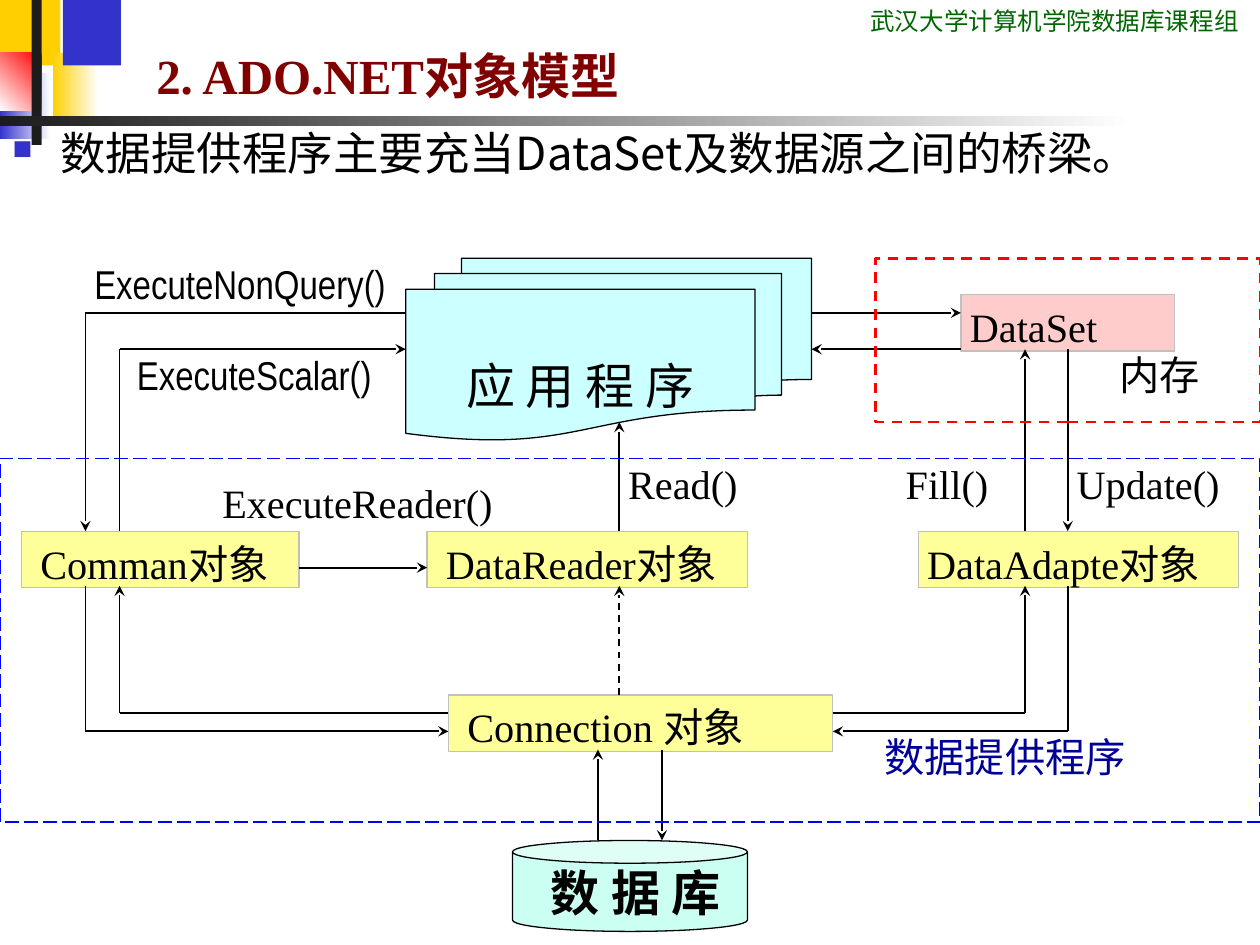
from dataclasses import dataclass
from itertools import pairwise

from lxml import etree
from pptx import Presentation
from pptx.dml.color import RGBColor
from pptx.enum.dml import MSO_LINE
from pptx.enum.shapes import MSO_CONNECTOR, MSO_SHAPE
from pptx.enum.text import MSO_ANCHOR, PP_ALIGN
from pptx.oxml.ns import qn
from pptx.util import Inches, Pt

RECTANGLE = MSO_SHAPE.RECTANGLE
CAN = MSO_SHAPE.CAN
DOCUMENTS = MSO_SHAPE.FLOWCHART_MULTIDOCUMENT
STRAIGHT = MSO_CONNECTOR.STRAIGHT
DASH, LONG_DASH = MSO_LINE.DASH, MSO_LINE.LONG_DASH
TOP, MIDDLE, BOTTOM = MSO_ANCHOR.TOP, MSO_ANCHOR.MIDDLE, MSO_ANCHOR.BOTTOM
LEFT, CENTER = PP_ALIGN.LEFT, PP_ALIGN.CENTER


@dataclass(frozen=True)
class Theme:
    """Colours, fonts and type sizes of the slide."""
    black: str = "000000"
    white: str = "FFFFFF"
    dark: str = "1C1C1C"
    gold: str = "FFCF01"
    blue: str = "3333CC"
    red: str = "FF0000"
    title: str = "800000"
    header: str = "006600"
    provider: str = "000099"
    provider_frame: str = "0000FF"
    box: str = "FFFF99"
    dataset: str = "FFCCCC"
    application: str = "CCFFFF"
    database: str = "CBFFF1"
    border: str = "C0C0C0"
    serif: str = "Times New Roman"
    narrow: str = "Arial Narrow"
    condensed: str = "Roboto Condensed"
    chinese: str = "Noto Sans CJK SC"
    header_size: int = 14
    label_size: int = 23
    body_size: int = 26
    large_size: int = 28


THEME = Theme()
COLUMN = 10 / 59
ROW = 0.1444
DIAGRAM_TOP = 2.05
INNER = (0.07, 0.01, 0.07, 0.01)
OUTER = (0.1, 0.05, 0.1, 0.05)


def rgb(color):
    """Turn a hex string into a colour."""
    return RGBColor.from_string(color)


def grid(column, row):
    """Return the slide position of a point on the diagram grid."""
    return Inches(column * COLUMN), Inches(DIAGRAM_TOP + row * ROW)


def area(column, row, columns, rows):
    """Return left, top, width and height of a block of grid cells."""
    return (*grid(column, row), Inches(columns * COLUMN), Inches(rows * ROW))


def write(shape, text, size=THEME.label_size, font=THEME.serif, color=THEME.black,
          bold=False, align=LEFT, anchor=TOP, margins=INNER):
    """Fill a shape with one formatted paragraph and return it."""
    frame = shape.text_frame
    frame.text = text
    frame.word_wrap = True
    frame.vertical_anchor = anchor
    (frame.margin_left, frame.margin_top,
     frame.margin_right, frame.margin_bottom) = map(Inches, margins)
    paragraph = frame.paragraphs[0]
    paragraph.alignment = align
    for run in paragraph.runs:
        run.font.name, run.font.size, run.font.bold = font, Pt(size), bold
        run.font.color.rgb = rgb(color)
        etree.SubElement(run.font._element, qn("a:ea"), typeface=THEME.chinese)
    return paragraph


def add_label(slide, place, text, **style):
    """Add a text box."""
    return write(slide.shapes.add_textbox(*place), text, **style)


def add_block(slide, place, fill=None, line=None, width=0.75, dash=None, kind=RECTANGLE):
    """Add a preset shape with an optional fill and outline."""
    shape = slide.shapes.add_shape(kind, *place)
    shape.shadow.inherit = False
    if fill:
        shape.fill.solid()
        shape.fill.fore_color.rgb = rgb(fill)
    else:
        shape.fill.background()
    if line:
        shape.line.color.rgb = rgb(line)
        shape.line.width = Pt(width)
        shape.line.dash_style = dash
    else:
        shape.line.fill.background()
    return shape


def add_fade(slide, place, start, end, angle=180):
    """Add a rectangle that fades between two colours."""
    fill = add_block(slide, place).fill
    fill.gradient()
    fill.gradient_angle = angle
    for stop, color, position in zip(fill.gradient_stops, (start, end), (0, 1)):
        stop.color.rgb = rgb(color)
        stop.position = position


def add_route(slide, *points, width=1, dash=None):
    """Join grid points with lines and put an arrowhead on the last one."""
    for begin, end in pairwise(points):
        line = slide.shapes.add_connector(STRAIGHT, *grid(*begin), *grid(*end))
        line.line.color.rgb = rgb(THEME.black)
        line.line.width = Pt(width)
        line.line.dash_style = dash
        if end == points[-1]:
            etree.SubElement(line.line._get_or_add_ln(), qn("a:tailEnd"), type="stealth")
        etree.SubElement(line._element.spPr, qn("a:effectLst"))


def add_decoration(slide):
    """Add the coloured corner blocks and the rule under the title."""
    def place(*lengths):
        return [Inches(length) for length in lengths]

    add_block(slide, place(0, 0, 0.48, 0.52), THEME.gold)
    add_fade(slide, place(0.42, 0.42, 0.36, 0.52), THEME.white, THEME.gold)
    add_block(slide, place(0.5, 0, 0.46, 0.52), THEME.blue)
    add_fade(slide, place(0, 0.58, 0.4, 0.52), THEME.white, THEME.blue)
    add_fade(slide, place(0, 0.42, 0.33, 0.46), THEME.red, THEME.white, 225)
    add_block(slide, place(0.25, 0, 0.08, 1.15), THEME.dark)
    add_fade(slide, place(0, 0.92, 9, 0.08), THEME.white, THEME.dark)


def add_heading(slide):
    """Write the header, the title and the bulleted statement."""
    add_label(slide, (Inches(6.81), 0, Inches(3.19), Inches(0.34)),
              "武汉大学计算机学院数据库课程组", size=THEME.header_size,
              font=THEME.condensed, color=THEME.header, margins=OUTER)
    title = slide.shapes.title
    title.left, title.top, title.width, title.height = map(Inches, (1.14, 0.13, 6.83, 0.75))
    write(title, "2. ADO.NET对象模型", size=THEME.large_size, color=THEME.title,
          bold=True, anchor=BOTTOM, margins=OUTER)
    paragraph = add_label(slide, (0, Inches(0.99), Inches(10), Inches(1.04)),
                          "数据提供程序主要充当DataSet及数据源之间的桥梁。",
                          size=THEME.body_size, font=THEME.chinese, margins=OUTER)
    properties = paragraph._p.get_or_add_pPr()
    properties.set("marL", str(Inches(0.38)))
    properties.set("indent", str(-Inches(0.38)))
    bullet_color = etree.SubElement(properties, qn("a:buClr"))
    etree.SubElement(bullet_color, qn("a:srgbClr"), val=THEME.blue)
    etree.SubElement(properties, qn("a:buSzPct"), val="60000")
    etree.SubElement(properties, qn("a:buChar"), char="■")
    paragraph.line_spacing = 0.9


def add_objects(slide):
    """Add the application, the database and the object boxes."""
    database = add_block(slide, area(24, 32, 11, 5), THEME.database, THEME.black, kind=CAN)
    write(database, " 数 据 库", size=THEME.large_size, bold=True, align=CENTER, anchor=MIDDLE)
    application = add_block(slide, area(19, 0, 19, 10), THEME.application, THEME.black,
                            kind=DOCUMENTS)
    write(application, "应 用 程 序", size=THEME.large_size, align=CENTER, anchor=MIDDLE,
          margins=(0.07, 0.38, 0.07, 0.01))
    for column, row, columns, fill, text in (
            (20, 15, 15, THEME.box, " DataReader对象"),
            (1, 15, 13, THEME.box, " Comman对象"),
            (21, 24, 18, THEME.box, " Connection 对象"),
            (43, 15, 15, THEME.box, "DataAdapte对象"),
            (45, 2, 10, THEME.dataset, "DataSet")):
        box = add_block(slide, area(column, row, columns, 3.1), fill, THEME.border)
        write(box, text, margins=(0.07, 0.06, 0.07, 0.06))


def add_routes(slide):
    """Connect the objects."""
    add_route(slide, (28, 32), (28, 27), width=1.25)
    add_route(slide, (31, 27), (31, 32))
    add_route(slide, (29, 24), (29, 18), dash=DASH)
    add_route(slide, (29, 15), (29, 9))
    add_route(slide, (48, 15), (48, 5))
    add_route(slide, (50, 5), (50, 15))
    add_route(slide, (39, 25), (48, 25), (48, 18))
    add_route(slide, (50, 18), (50, 26), (39, 26))
    add_route(slide, (4, 18), (4, 26), (21, 26))
    add_route(slide, (21, 25), (5.6, 25), (5.6, 18))
    add_route(slide, (19, 3), (4, 3), (4, 15))
    add_route(slide, (5.6, 15), (5.6, 5), (19, 5))
    add_route(slide, (14, 17), (20, 17), width=1.25)
    add_route(slide, (38, 3), (45, 3))
    add_route(slide, (45, 5), (38, 5), width=1.25)


def add_frames_and_labels(slide):
    """Add the dashed frames and the names beside the arrows."""
    add_block(slide, area(0, 11, 59, 20), None, THEME.provider_frame, 1, LONG_DASH)
    add_block(slide, area(41, 0, 18, 9), None, THEME.red, 1.5, DASH)
    for column, row, columns, text, font, color in (
            (6, 5, 15, "ExecuteScalar()", THEME.narrow, THEME.black),
            (4, 0, 17, "ExecuteNonQuery()", THEME.narrow, THEME.black),
            (29, 11, 9, "Read()", THEME.serif, THEME.black),
            (42, 11, 7, "Fill()", THEME.serif, THEME.black),
            (50, 11, 9, "Update()", THEME.serif, THEME.black),
            (52, 5, 7, "内存", THEME.serif, THEME.black),
            (10, 12, 15, "ExecuteReader()", THEME.serif, THEME.black),
            (41, 26, 18, "数据提供程序", THEME.serif, THEME.provider)):
        add_label(slide, area(column, row, columns, 2), text, font=font, color=color)


def main():
    """Build and save the slide."""
    presentation = Presentation()
    presentation.slide_width, presentation.slide_height = Inches(10), Inches(7.5)
    slide = presentation.slides.add_slide(presentation.slide_layouts[5])
    for add_part in (add_decoration, add_heading, add_objects, add_routes,
                     add_frames_and_labels):
        add_part(slide)
    presentation.save("out.pptx")


if __name__ == "__main__":
    main()
